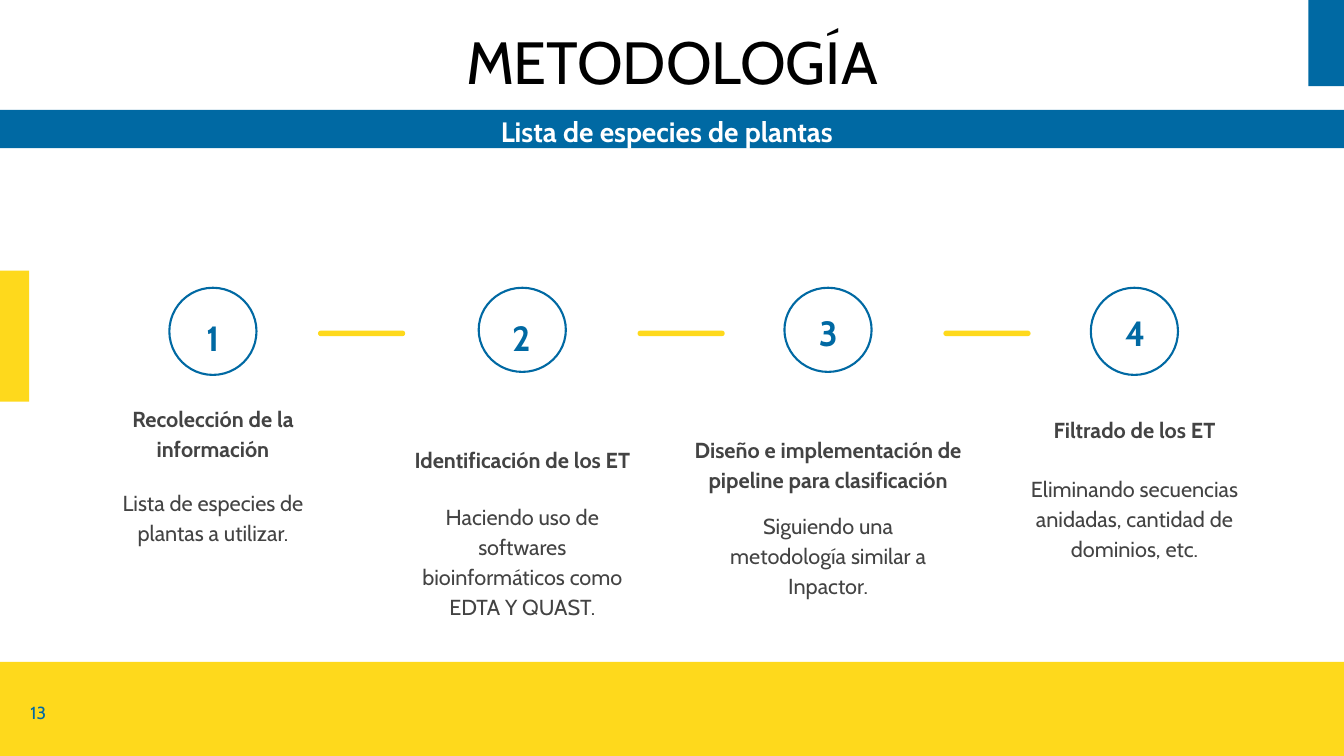
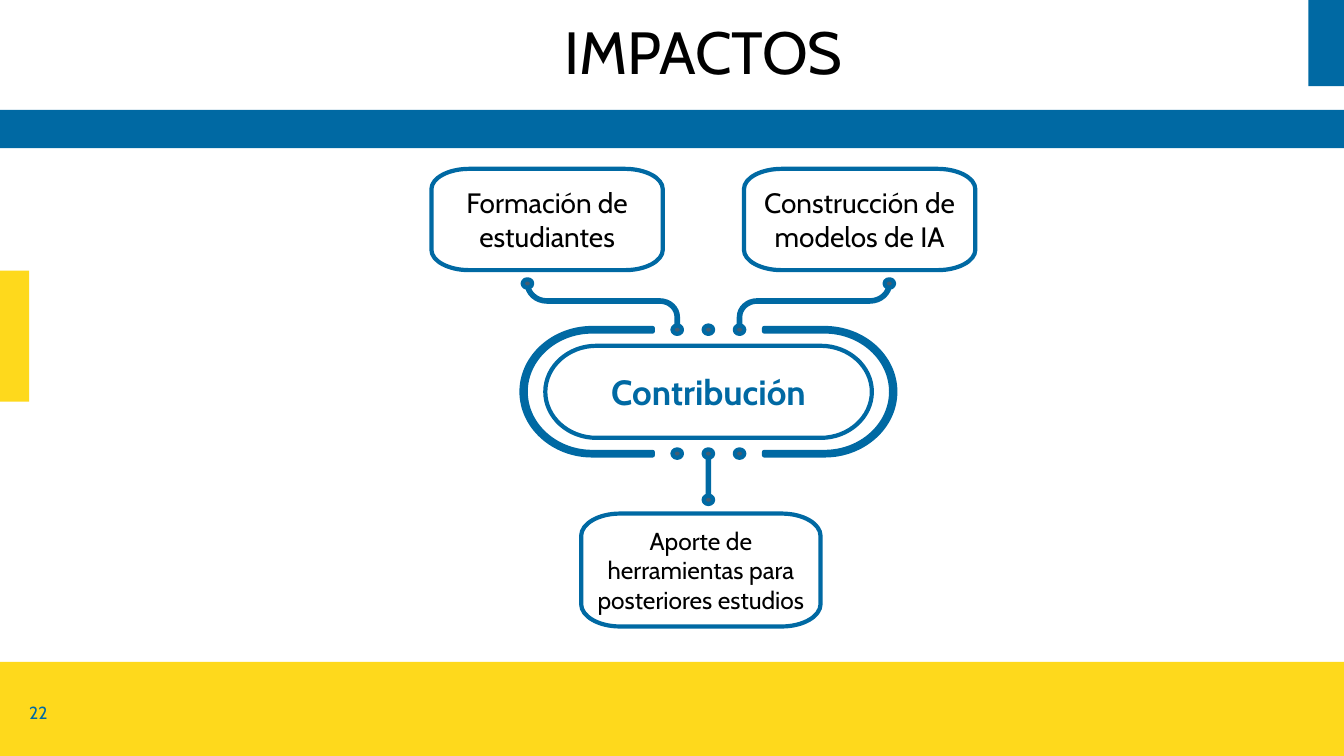
import math

import pptx
import pptx.dml.color
import pptx.enum.shapes
import pptx.enum.text
import pptx.oxml.ns
import pptx.util
import lxml.etree

Pt = pptx.util.Pt
qn = pptx.oxml.ns.qn
SHAPES = pptx.enum.shapes.MSO_SHAPE
ANCHOR = pptx.enum.text.MSO_ANCHOR

FONT = "Cabin"
BLUE, YELLOW, WHITE, BLACK, GREY = "0069A3", "FED91C", "FFFFFF", "000000", "434343"
DOT, RIBBON, BRACKET = "435D74", "9FA0A4", "96979B"
WIDTH, HEIGHT = 1920, 1080
CURVATURE = 0.55

BANDS = [
    (-34.5, 945.4, 1988.6, 156.2, YELLOW),
    (-18.7, 386.6, 60.5, 187.2, YELLOW),
    (1869.1, -64.1, 60.5, 187.2, BLUE),
    (-64.8, 157, 2090.2, 54.7, BLUE),
]

METHOD = {"title": "METODOLOGÍA", "title_at": (141.1, 51.1), "page": "13"}
IMPACT = {"title": "IMPACTOS", "title_at": (186.5, 36.7), "page": "22"}
SUBTITLE = "Lista de especies de plantas"

STEPS = [
    {"center": 304.2, "circle_height": 124.5, "number_at": (258.5, 423.3),
     "heading": "Recolección de la información", "heading_box": (558.7, 358.5, 120.3),
     "detail": "Lista de especies de plantas a utilizar.", "detail_box": (675.2, 368.6, 160.6)},
    {"center": 746.1, "circle_height": 120.2, "number_at": (699.1, 423.3),
     "heading": "Identificación de los ET", "heading_box": (574.5, 358.5, 120.3),
     "detail": "Haciendo uso de softwares bioinformáticos como EDTA Y QUAST.",
     "detail_box": (694.8, 358.5, 157.7)},
    {"center": 1182.9, "circle_height": 120.2, "number_at": (1137.6, 416.9),
     "heading": "Diseño e implementación de pipeline para clasificación",
     "heading_box": (588.2, 429.8, 135.4),
     "detail": "Siguiendo una metodología similar a Inpactor.",
     "detail_box": (708.3, 358.5, 180.7)},
    {"center": 1620.6, "circle_height": 124.5, "number_at": (1576.1, 416.9),
     "heading": "Filtrado de los ET", "heading_box": (558.7, 358.5, 93.6),
     "detail": "Eliminando secuencias anidadas, cantidad de dominios, etc.",
     "detail_box": (654.5, 358.5, 154.8)},
]
DASH_LEFTS = [454.3, 910.8, 1347.8]

AXIS = 1012
DOT_GAP, BRANCH_REACH = 44.5, 258.5
BRANCH_Y, TOP_Y, MIDDLE_Y, BOTTOM_Y, STEM_END_Y = 405, 471, 559.6, 648, 714
IMPACT_BOXES = [
    ("Contribución", 779, 494, 466.5, 131.5, 73, 65.75, 50, BLUE, True),
    ("Formación de estudiantes", 616.3, 241.2, 330.5, 144.7, 54, 29, 40, BLACK, False),
    ("Construcción de modelos de IA", 1062.8, 241.2, 330.5, 144.7, 54, 29, 40, BLACK, False),
    ("Aporte de herramientas para posteriores estudios",
     830.2, 733.7, 342, 161.3, 55.5, 32, 35, BLACK, False),
]


def color(value):
    return pptx.dml.color.RGBColor.from_string(value)


def paint(shape, fill=None, line=None, line_width=6):
    shape.shadow.inherit = False
    if fill:
        shape.fill.solid()
        shape.fill.fore_color.rgb = color(fill)
    else:
        shape.fill.background()
    if line:
        shape.line.color.rgb = color(line)
        shape.line.width = Pt(line_width)
    else:
        shape.line.fill.background()


def add_preset(slide, kind, left, top, width, height, **style):
    shape = slide.shapes.add_shape(kind, Pt(left), Pt(top), Pt(width), Pt(height))
    paint(shape, **style)
    return shape


def write(shape, text, size, ink, bold=False, inset=7.2, anchor=ANCHOR.TOP, spacing=None):
    frame = shape.text_frame
    frame.word_wrap = True
    frame.vertical_anchor = anchor
    frame.margin_left = frame.margin_right = Pt(inset)
    frame.margin_top = frame.margin_bottom = Pt(inset)
    frame.text = text
    paragraph = frame.paragraphs[0]
    paragraph.alignment = pptx.enum.text.PP_ALIGN.CENTER
    if spacing:
        paragraph.line_spacing = spacing
    font = paragraph.runs[0].font
    font.name, font.size, font.bold = FONT, Pt(size), bold
    font.color.rgb = color(ink)


def add_text(slide, text, left, top, width, height, size, ink, **style):
    box = slide.shapes.add_textbox(Pt(left), Pt(top), Pt(width), Pt(height))
    write(box, text, size, ink, **style)


def quarter(x, y, radius_x, radius_y, start, turn=1):
    first, last = math.radians(start), math.radians(start + 90 * turn)
    pull = CURVATURE * turn

    def place(angle, lean):
        return (x + radius_x * (math.cos(angle) - lean * math.sin(angle)),
                y + radius_y * (math.sin(angle) + lean * math.cos(angle)))

    return [(place(first, 0),), (place(first, pull), place(last, -pull), place(last, 0))]


def backwards(segments):
    turned = [(segments[-1][-1],)]
    for before, segment in reversed(list(zip(segments, segments[1:]))):
        turned.append(segment[:-1][::-1] + (before[-1],))
    return turned


def mirrored(segments, side):
    return [tuple((AXIS + side * x, y) for x, y in segment) for segment in segments]


def add_outline(slide, segments, fill=None):
    corners = [(Pt(x), Pt(y)) for segment in segments for x, y in segment]
    builder = slide.shapes.build_freeform(*corners[0], scale=1.0)
    builder.add_line_segments(corners[1:], close=True)
    shape = builder.convert_to_shape()
    lines = iter(list(shape.element.iter(qn("a:lnTo"))))
    for segment in segments[1:]:
        group = [next(lines) for _ in segment]
        if len(group) == 3:
            curve = lxml.etree.Element(qn("a:cubicBezTo"))
            group[0].addprevious(curve)
            for line in group:
                curve.append(line[0])
                line.getparent().remove(line)
    paint(shape, fill, BLUE)
    return shape


def add_rounded_box(slide, left, top, width, height, radius_x, radius_y):
    near_x, far_x = left + radius_x, left + width - radius_x
    near_y, far_y = top + radius_y, top + height - radius_y
    centers = [(near_x, near_y), (far_x, near_y), (far_x, far_y), (near_x, far_y)]
    segments = []
    for index, (x, y) in enumerate(centers):
        segments += quarter(x, y, radius_x, radius_y, 180 + 90 * index)
    return add_outline(slide, segments)


def bracket_edge(radius_x, radius_y):
    upper = quarter(166, MIDDLE_Y, radius_x, radius_y, -90)
    lower = quarter(166, MIDDLE_Y, radius_x, radius_y, 0)[1:]
    return [((79.5, MIDDLE_Y - radius_y),)] + upper + lower + [((79.5, MIDDLE_Y + radius_y),)]


def branch_edge(offset):
    outer = quarter(BRANCH_REACH - 28, BRANCH_Y, 28 + offset, 25 + offset, 0)
    inner = quarter(DOT_GAP + 25, 453, 25 - offset, 23 - offset, 270, -1)
    return outer + inner + [((DOT_GAP + offset, TOP_Y),)]


def add_base(presentation, content):
    slide = presentation.slides.add_slide(presentation.slide_layouts[6])
    for left, top, width, height, fill in BANDS:
        add_preset(slide, SHAPES.RECTANGLE, left, top, width, height, fill=fill)
    add_text(slide, content["title"], *content["title_at"], 1637.3, 120.2, 85, BLACK,
             inset=4.5, spacing=0.8)
    add_text(slide, content["page"], 30.2, 1000.3, 49, 36.8, 25, BLUE,
             inset=4.3, anchor=ANCHOR.BOTTOM)
    return slide


def build_method(presentation):
    slide = add_base(presentation, METHOD)
    add_text(slide, SUBTITLE, 553, 157, 799.2, 54.7, 40, WHITE, bold=True)
    for left in DASH_LEFTS:
        dash = add_preset(slide, SHAPES.ROUNDED_RECTANGLE, left, 472.3, 124.5, 7.9, fill=YELLOW)
        dash.adjustments[0] = 0.5
    for number, step in enumerate(STEPS, 1):
        center = step["center"]
        add_preset(slide, SHAPES.OVAL, center - 62.25, 411.1, 124.5, step["circle_height"],
                   line=BLUE, line_width=3)
        add_text(slide, str(number), *step["number_at"], 91.4, 93.6, 50, BLUE,
                 bold=True, inset=19.4, spacing=1.15)
        for part, bold, anchor in (("heading", True, ANCHOR.BOTTOM),
                                   ("detail", False, ANCHOR.TOP)):
            top, width, height = step[part + "_box"]
            add_text(slide, step[part], center - width / 2, top, width, height, 31, GREY,
                     bold=bold, anchor=anchor, inset=19.4, spacing=1.15)


def build_impact(presentation):
    slide = add_base(presentation, IMPACT)
    for text, left, top, width, height, radius_x, radius_y, size, ink, bold in IMPACT_BOXES:
        box = add_rounded_box(slide, left, top, width, height, radius_x, radius_y)
        write(box, text, size, ink, bold=bold, anchor=ANCHOR.MIDDLE)
    bracket = bracket_edge(101, 91) + backwards(bracket_edge(95, 86))
    branch = branch_edge(1) + backwards(branch_edge(-1))
    for side in (-1, 1):
        add_outline(slide, mirrored(bracket, side), BRACKET)
        add_outline(slide, mirrored(branch, side), RIBBON)
    stem = add_preset(slide, SHAPES.ROUNDED_RECTANGLE, AXIS - 1, BOTTOM_Y, 2,
                      STEM_END_Y - BOTTOM_Y, fill=RIBBON, line=BLUE)
    stem.adjustments[0] = 0.5
    dots = [(column * DOT_GAP, y) for y in (TOP_Y, BOTTOM_Y) for column in (-1, 0, 1)]
    dots += [(-BRANCH_REACH, BRANCH_Y), (BRANCH_REACH, BRANCH_Y), (0, STEM_END_Y)]
    for x, y in dots:
        add_preset(slide, SHAPES.OVAL, AXIS + x - 6.75, y - 6, 13.5, 12, fill=DOT, line=BLUE)


def main():
    """Build the methodology and impact slides."""
    presentation = pptx.Presentation()
    presentation.slide_width, presentation.slide_height = Pt(WIDTH), Pt(HEIGHT)
    build_method(presentation)
    build_impact(presentation)
    presentation.save("out.pptx")


if __name__ == "__main__":
    main()
